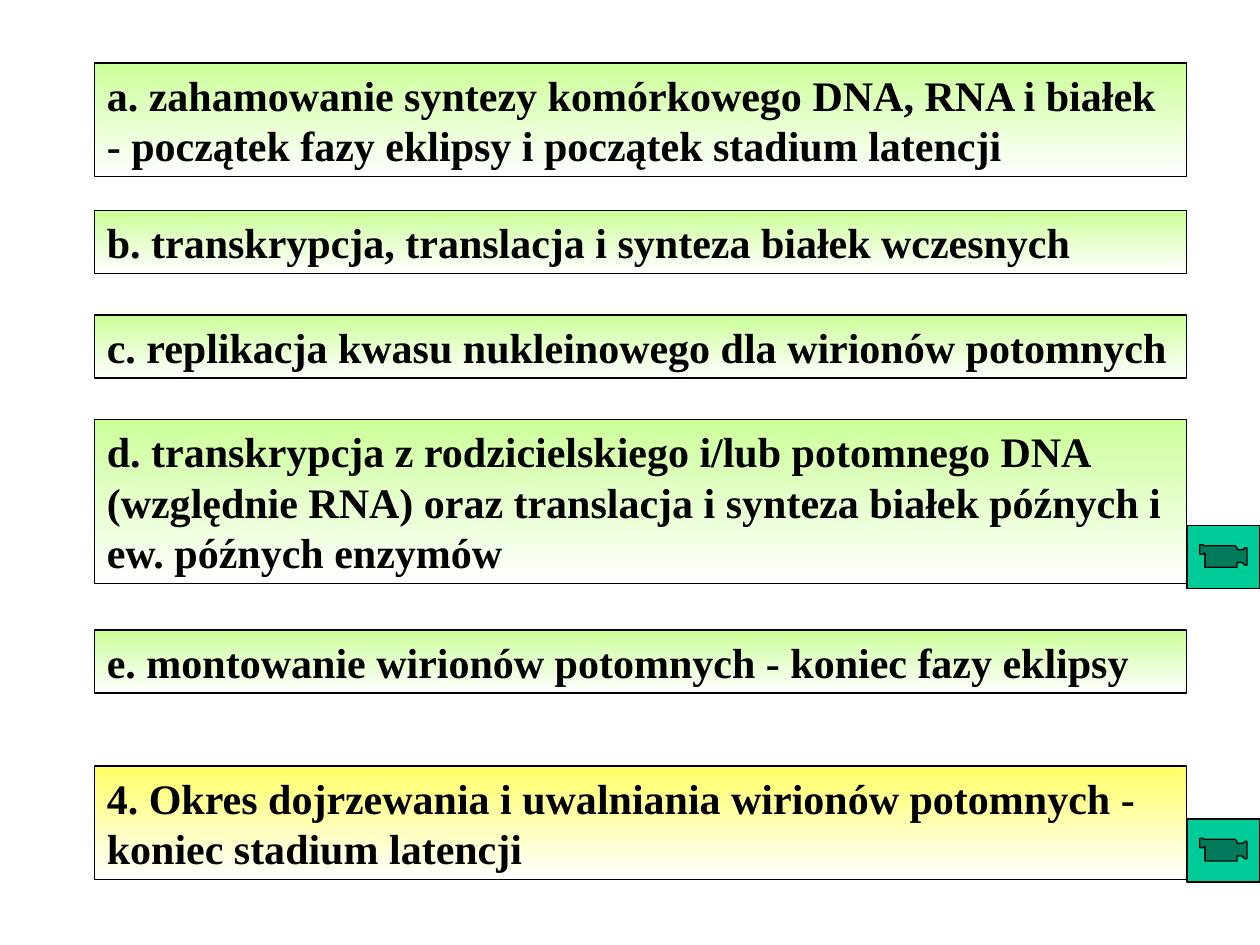
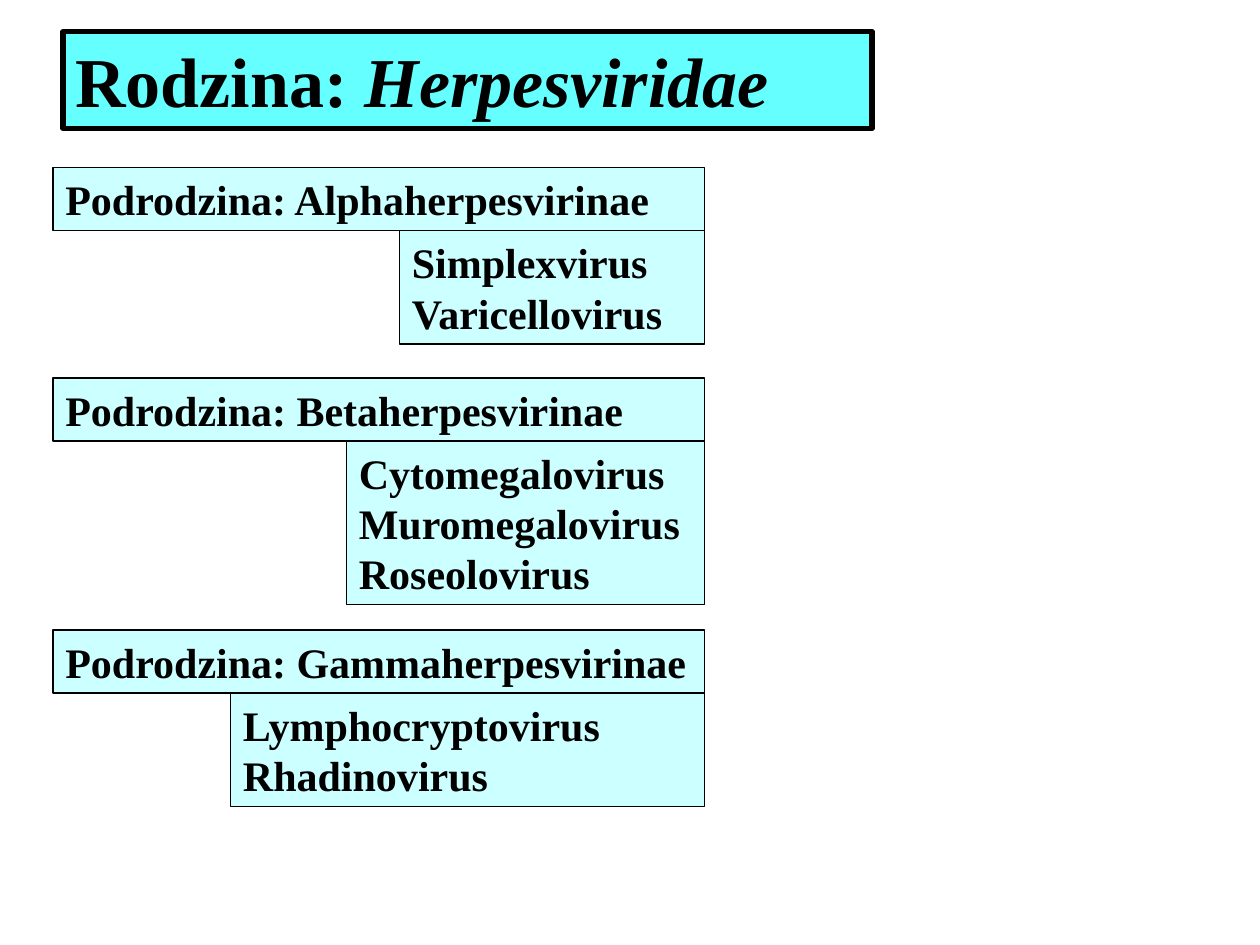
"""Build two slides on virus replication stages and the Herpesviridae family."""
from pptx import Presentation
from pptx.dml.color import RGBColor
from pptx.enum.shapes import MSO_SHAPE as SHAPE
from pptx.enum.text import MSO_ANCHOR as ANCHOR, MSO_AUTO_SIZE as AUTO, PP_ALIGN as ALIGN
from pptx.util import Inches, Pt

FONT = "Times New Roman"
BLACK, WHITE = "000000", "FFFFFF"
GREEN, YELLOW, TEAL = "CCFF99", "FFFF66", "00CC99"
CYAN, PALE_CYAN = "66FFFF", "CCFFFF"

STAGE_LEFT, STAGE_WIDTH = 0.75, 8.67
STAGES = [
    (0.5, 2, GREEN, "a. zahamowanie syntezy komórkowego DNA, RNA i białek "
                    "- początek fazy eklipsy i początek stadium latencji"),
    (1.67, 1, GREEN, "b. transkrypcja, translacja i synteza białek wczesnych"),
    (2.5, 1, GREEN, "c. replikacja kwasu nukleinowego dla wirionów potomnych"),
    (3.33, 3, GREEN, "d. transkrypcja z rodzicielskiego i/lub potomnego DNA "
                     "(względnie RNA) oraz translacja i synteza białek późnych "
                     "i ew. późnych enzymów"),
    (5, 1, GREEN, "e. montowanie wirionów potomnych - koniec fazy eklipsy"),
    (6.08, 2, YELLOW, "4. Okres dojrzewania i uwalniania wirionów potomnych "
                      "- koniec stadium latencji"),
]
MOVIE_TOPS = [4.17, 6.5]

FAMILY = [("Rodzina: ", False), ("Herpesviridae", True)]
SUB_LEFT, SUB_WIDTH = 0.42, 5.17
SUBFAMILIES = [
    (1.33, "Alphaherpesvirinae", 3.17, ["Simplexvirus", "Varicellovirus"]),
    (3, "Betaherpesvirinae", 2.75,
     ["Cytomegalovirus", "Muromegalovirus", "Roseolovirus"]),
    (5, "Gammaherpesvirinae", 1.83, ["Lymphocryptovirus", "Rhadinovirus"]),
]


def rgb(color):
    return RGBColor.from_string(color)


def height(lines):
    return 0.1 + 0.4 * lines


def add_shape(slide, kind, box, fill, fade=False, line=0.75):
    sp = slide.shapes.add_shape(kind, *[Inches(v) for v in box])
    sp.shadow.inherit = False
    if fade:
        sp.fill.gradient()
        sp.fill.gradient_angle = 270
        for stop, color in zip(sp.fill.gradient_stops, (fill, WHITE)):
            stop.color.rgb = rgb(color)
    else:
        sp.fill.solid()
        sp.fill.fore_color.rgb = rgb(fill)
    sp.line.color.rgb = rgb(BLACK)
    sp.line.width = Pt(line)
    return sp


def add_label(slide, box, runs, fill, size=24, **style):
    tf = add_shape(slide, SHAPE.RECTANGLE, box, fill, **style).text_frame
    tf.word_wrap = True
    tf.auto_size = AUTO.SHAPE_TO_FIT_TEXT
    tf.vertical_anchor = ANCHOR.TOP
    p = tf.paragraphs[0]
    p.alignment = ALIGN.LEFT
    for text, italic in runs:
        r = p.add_run()
        r.text = text
        r.font.name = FONT
        r.font.size = Pt(size)
        r.font.bold = True
        r.font.italic = italic
        r.font.color.rgb = rgb(BLACK)


def build_stages(slide):
    for top, lines, color, text in STAGES:
        box = (STAGE_LEFT, top, STAGE_WIDTH, height(lines))
        add_label(slide, box, [(text, False)], color, fade=True)
    for top in MOVIE_TOPS:
        box = (STAGE_LEFT + STAGE_WIDTH, top, 0.58, 0.5)
        add_shape(slide, SHAPE.ACTION_BUTTON_MOVIE, box, TEAL)


def build_family(slide):
    add_label(slide, (0.5, 0.25, 6.42, 0.77), FAMILY, CYAN, size=40, line=3)
    right = SUB_LEFT + SUB_WIDTH
    for top, name, left, genera in SUBFAMILIES:
        add_label(slide, (SUB_LEFT, top, SUB_WIDTH, height(1)),
                  [("Podrodzina: " + name, False)], PALE_CYAN)
        add_label(slide, (left, top + height(1), right - left, height(len(genera))),
                  [(" ".join(genera), False)], PALE_CYAN)


def main():
    prs = Presentation()
    prs.slide_width, prs.slide_height = Inches(10), Inches(7.5)
    for build in (build_stages, build_family):
        build(prs.slides.add_slide(prs.slide_layouts[6]))
    prs.save("out.pptx")


if __name__ == "__main__":
    main()
